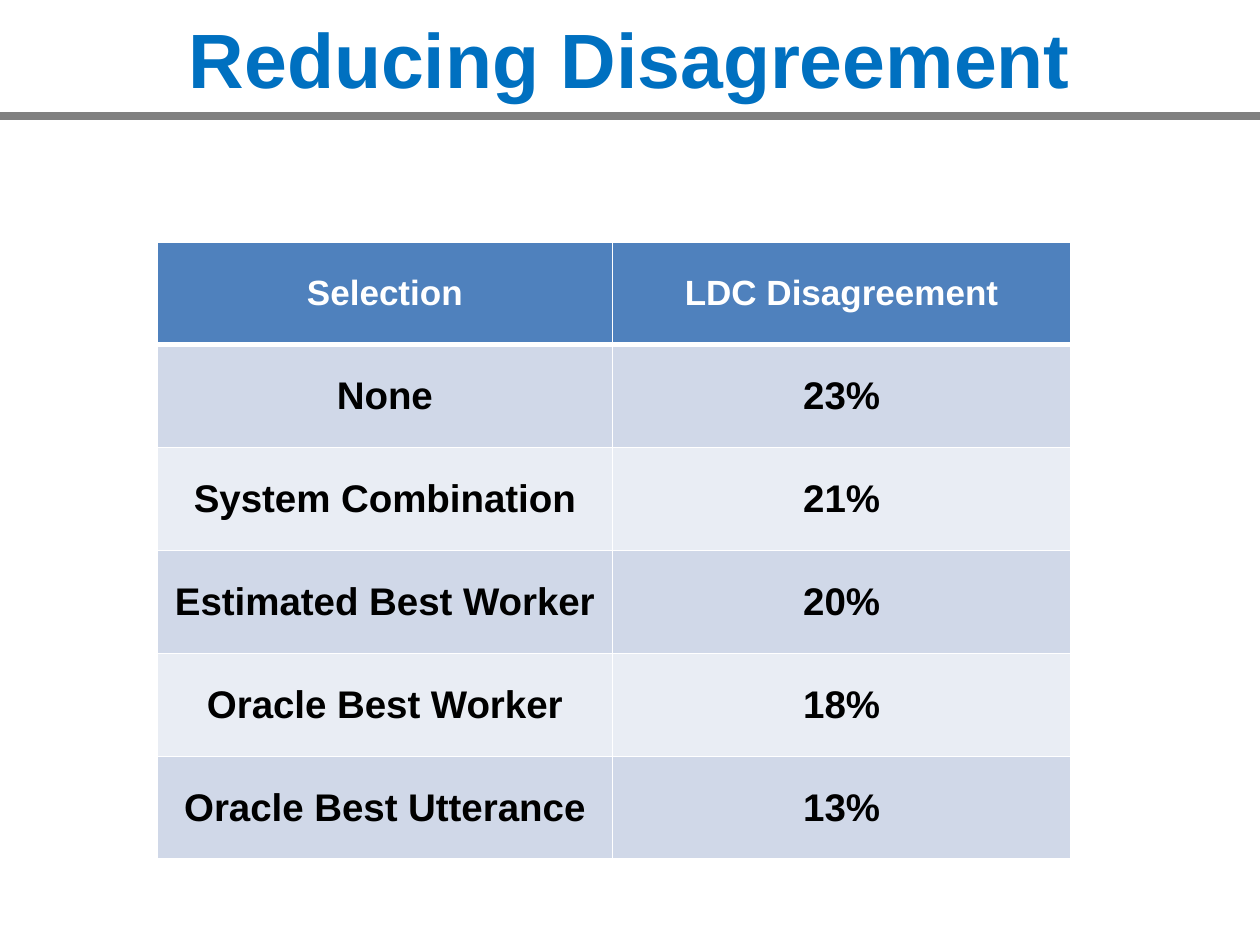
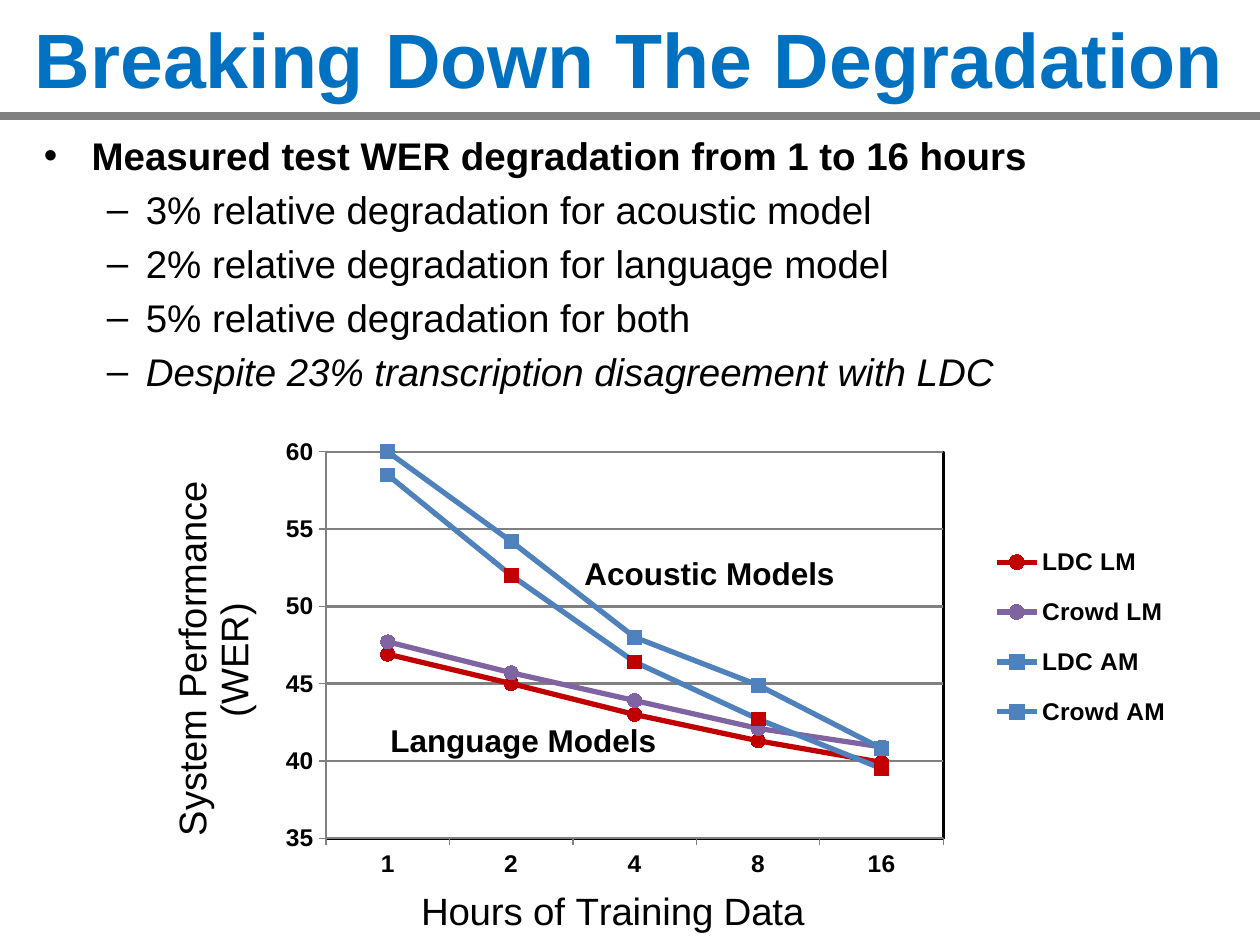
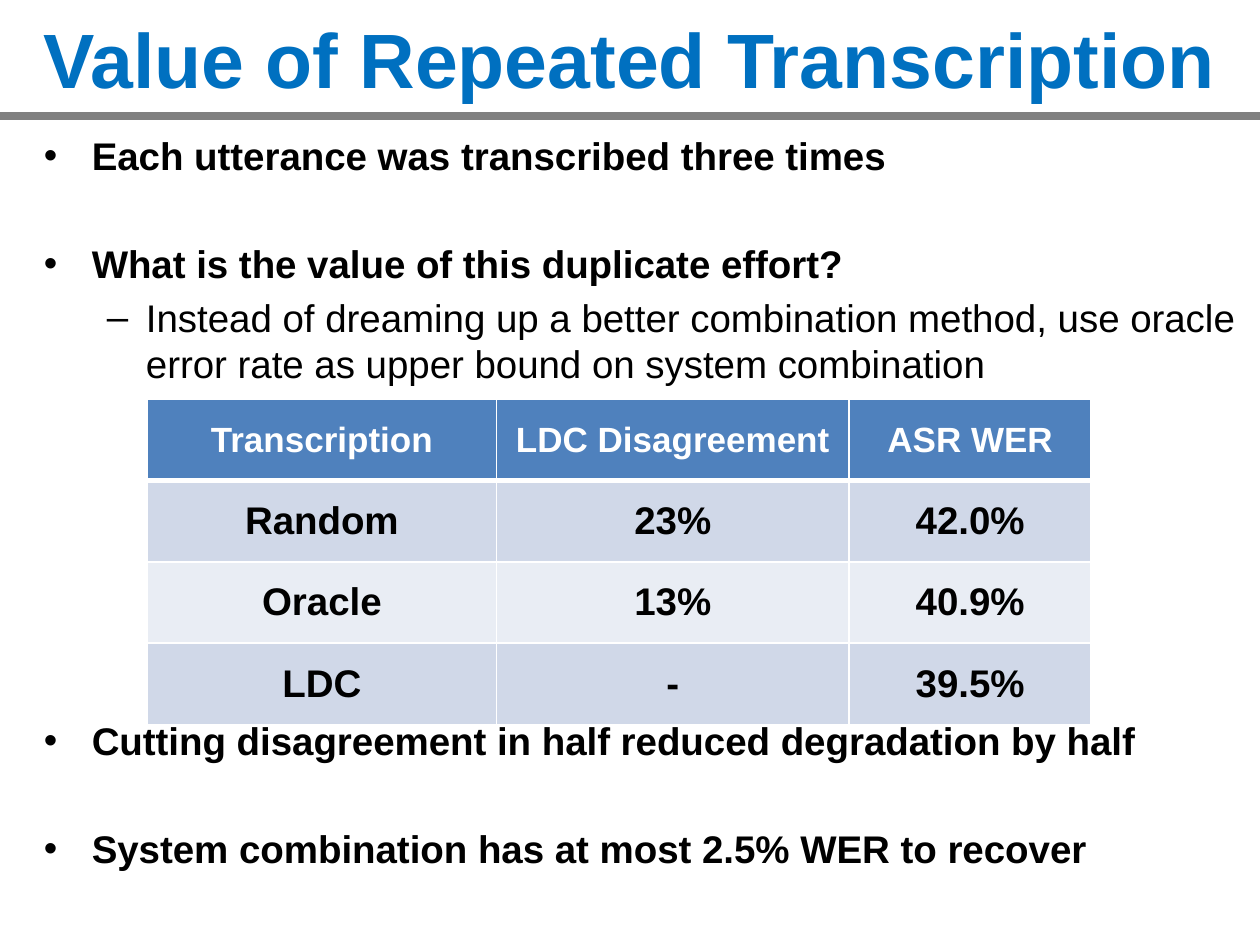
from lxml import etree
from pptx import Presentation
from pptx.chart.data import CategoryChartData
from pptx.dml.color import RGBColor
from pptx.enum.chart import XL_CHART_TYPE as ChartType
from pptx.enum.chart import XL_LEGEND_POSITION as LegendPosition
from pptx.enum.chart import XL_MARKER_STYLE as Marker
from pptx.enum.chart import XL_TICK_MARK as TickMark
from pptx.enum.shapes import MSO_CONNECTOR as Connector
from pptx.enum.text import MSO_ANCHOR as Anchor
from pptx.enum.text import PP_ALIGN as Align
from pptx.oxml import parse_xml
from pptx.oxml.ns import nsdecls, qn
from pptx.util import Inches, Pt

FONT = "Arial"
BLACK, WHITE, GRAY = "000000", "FFFFFF", "808080"
TITLE_BLUE, BLUE, RED, PURPLE = "0070C0", "4F81BD", "C00000", "8064A2"
BANDS = ("D0D8E8", "E9EDF4")
TITLE_HEIGHT = 0.92
BODY_SIZE, LINE_HEIGHT, GAP = 22, 26.4, 4.4

# Bullet sign, left margin and hanging indent in inches, bold, for each level
LEVELS = (("•", 0.38, 0.38, True), ("–", 0.81, 0.31, False))

SELECTION_ROWS = [
    ("Selection", "LDC Disagreement"),
    ("None", "23%"),
    ("System Combination", "21%"),
    ("Estimated Best Worker", "20%"),
    ("Oracle Best Worker", "18%"),
    ("Oracle Best Utterance", "13%"),
]
TRANSCRIPTION_ROWS = [
    ("Transcription", "LDC Disagreement", "ASR WER"),
    ("Random", "23%", "42.0%"),
    ("Oracle", "13%", "40.9%"),
    ("LDC", "-", "39.5%"),
]

# Level, lines left free above, italic, text
DEGRADATION_POINTS = [
    (0, 0, False, "Measured test WER degradation from 1 to 16 hours"),
    (1, 0, False, "3% relative degradation for acoustic model"),
    (1, 0, False, "2% relative degradation for language model"),
    (1, 0, False, "5% relative degradation for both"),
    (1, 0, True, "Despite 23% transcription disagreement with LDC"),
]
REPETITION_POINTS = [
    (0, 0, False, "Each utterance was transcribed three times"),
    (0, 1, False, "What is the value of this duplicate effort?"),
    (1, 0, False, "Instead of dreaming up a better combination method, use oracle "
                  "error rate as upper bound on system combination"),
    (0, 6, False, "Cutting disagreement in half reduced degradation by half"),
    (0, 1, False, "System combination has at most 2.5% WER to recover"),
]

HOURS = ("1", "2", "4", "8", "16")
# Name, values, colour, marker, colour of the markers after the first
SERIES = [
    ("LDC LM", (46.9, 45, 43, 41.3, 39.9), RED, Marker.CIRCLE, RED),
    ("Crowd LM", (47.7, 45.7, 43.9, 42.1, 40.9), PURPLE, Marker.CIRCLE, PURPLE),
    ("LDC AM", (58.5, 52, 46.4, 42.7, 39.5), BLUE, Marker.SQUARE, RED),
    ("Crowd AM", (60, 54.2, 48, 44.9, 40.8), BLUE, Marker.SQUARE, BLUE),
]
MODEL_LABELS = [
    ("Acoustic Models", 4.54, 4.35, 2.21),
    ("Language Models", 3, 5.67, 2.33),
]


def rgb(color):
    return RGBColor.from_string(color)


def set_font(font, size, color=BLACK, bold=False, italic=False):
    font.name, font.size = FONT, Pt(size)
    font.bold, font.italic = bold, italic
    font.color.rgb = rgb(color)


def set_line(line, color, width):
    line.color.rgb = rgb(color)
    line.width = Pt(width)


def add_text_box(slide, left, top, width, height):
    box = slide.shapes.add_textbox(Inches(left), Inches(top), Inches(width), Inches(height))
    box.text_frame.word_wrap = True
    return box.text_frame


def add_titled_slide(presentation, title):
    slide = presentation.slides.add_slide(presentation.slide_layouts[6])
    rule = slide.shapes.add_connector(
        Connector.STRAIGHT, 0, Inches(TITLE_HEIGHT), Inches(10), Inches(TITLE_HEIGHT))
    set_line(rule.line, GRAY, 5)
    etree.SubElement(rule._element.spPr, qn("a:effectLst"))
    frame = add_text_box(slide, 0, 0, 10, TITLE_HEIGHT)
    frame.vertical_anchor = Anchor.MIDDLE
    paragraph = frame.paragraphs[0]
    paragraph.text = title
    paragraph.alignment = Align.CENTER
    set_font(paragraph.font, 44, TITLE_BLUE, bold=True)
    return slide


def add_bullets(slide, points, width):
    frame = add_text_box(slide, 0.25, 1, width, 5.83)
    for index, (level, free_lines, italic, text) in enumerate(points):
        paragraph = frame.add_paragraph() if index else frame.paragraphs[0]
        paragraph.text = text
        sign, margin, hanging, bold = LEVELS[level]
        set_font(paragraph.font, BODY_SIZE, bold=bold, italic=italic)
        paragraph.level = level
        paragraph.line_spacing = Pt(LINE_HEIGHT)
        paragraph.space_before = Pt(GAP + free_lines * (LINE_HEIGHT + GAP))
        properties = paragraph._p.get_or_add_pPr()
        properties.set("marL", str(Inches(margin)))
        properties.set("indent", str(-Inches(hanging)))
        bullet_font = parse_xml(f'<a:buFont {nsdecls("a")} typeface="{FONT}"/>')
        bullet = parse_xml(f'<a:buChar {nsdecls("a")} char="{sign}"/>')
        for element in (bullet_font, bullet):
            properties.insert_element_before(element, "a:tabLst", "a:defRPr", "a:extLst")


def set_borders(cell, bottom_width):
    properties = cell._tc.get_or_add_tcPr()
    for side, width in (("L", 1), ("R", 1), ("T", 1), ("B", bottom_width)):
        properties.append(parse_xml(
            f'<a:ln{side} {nsdecls("a")} w="{Pt(width)}"><a:solidFill>'
            f'<a:srgbClr val="{WHITE}"/></a:solidFill></a:ln{side}>'))


def add_banded_table(slide, rows, left, top, column_widths, height):
    table = slide.shapes.add_table(
        len(rows), len(column_widths), Inches(left), Inches(top),
        Inches(sum(column_widths)), Inches(height)).table
    for column, width in zip(table.columns, column_widths):
        column.width = Inches(width)
    for row_index, texts in enumerate(rows):
        header = row_index == 0
        for column_index, text in enumerate(texts):
            cell = table.cell(row_index, column_index)
            set_borders(cell, 3 if header else 1)
            cell.fill.solid()
            cell.fill.fore_color.rgb = rgb(BLUE if header else BANDS[(row_index - 1) % 2])
            cell.vertical_anchor = Anchor.MIDDLE
            paragraph = cell.text_frame.paragraphs[0]
            paragraph.text = text
            paragraph.alignment = Align.CENTER
            set_font(paragraph.font, 20 if header else 22, WHITE if header else BLACK, bold=True)


def place_chart_part(element, followers, target=None, **fractions):
    """Lay out a chart part at fractions of the chart's width and height."""
    for old_layout in element.findall(qn("c:layout")):
        element.remove(old_layout)
    items = [("layoutTarget", target)] if target else []
    items += [("xMode", "edge"), ("yMode", "edge"), *fractions.items()]
    inner = "".join(f'<c:{tag} val="{value}"/>' for tag, value in items)
    layout = parse_xml(
        f'<c:layout {nsdecls("c")}><c:manualLayout>{inner}</c:manualLayout></c:layout>')
    following = [child for child in element if child.tag in map(qn, followers)]
    if following:
        following[0].addprevious(layout)
    else:
        element.append(layout)


def style_axis(axis, title, x, y):
    axis.major_tick_mark, axis.minor_tick_mark = TickMark.OUTSIDE, TickMark.NONE
    set_font(axis.tick_labels.font, 14, bold=True)
    set_line(axis.format.line, GRAY, 0.75)
    paragraph = axis.axis_title.text_frame.paragraphs[0]
    paragraph.text = title
    set_font(paragraph.font, 22)
    place_chart_part(axis.axis_title._element, ("c:overlay", "c:spPr", "c:txPr"), x=x, y=y)


def style_line(item, line_color, marker_style, marker_color):
    """Style a series or one of its points."""
    set_line(item.format.line, line_color, 3)
    marker = item.marker
    marker.style, marker.size = marker_style, 8
    marker.format.fill.solid()
    marker.format.fill.fore_color.rgb = rgb(marker_color)
    set_line(marker.format.line, marker_color, 0.75)


def style_series(series, color, marker_style, later_color):
    series.smooth = False
    style_line(series, color, marker_style, color)
    if later_color != color:
        for index in range(1, len(HOURS)):
            # LibreOffice colours a point's marker by the point's line
            style_line(series.points[index], later_color, marker_style, later_color)


def add_error_chart(slide):
    data = CategoryChartData()
    data.categories = HOURS
    for name, values, *_ in SERIES:
        data.add_series(name, values)
    chart = slide.shapes.add_chart(
        ChartType.LINE_MARKERS, Inches(0.75), Inches(3.25), Inches(8.75), Inches(4.25), data).chart
    set_font(chart.font, 10)
    chart.has_title = False
    plot = chart.plots[0]
    plot.vary_by_categories = False
    for series, (_, _, *style) in zip(plot.series, SERIES):
        style_series(series, *style)

    style_axis(chart.category_axis, "Hours of Training Data", 0.29, 0.89)
    value_axis = chart.value_axis
    style_axis(value_axis, "System Performance (WER)", 0.06, 0.13)
    value_axis.minimum_scale, value_axis.maximum_scale = 35, 60
    value_axis.major_unit = 5
    set_line(value_axis.major_gridlines.format.line, GRAY, 1.5)

    chart.has_legend = True
    legend = chart.legend
    legend.position, legend.include_in_layout = LegendPosition.RIGHT, False
    set_font(legend.font, 14, bold=True)
    place_chart_part(legend._element, ("c:overlay", "c:spPr", "c:txPr"),
                     x=0.81, y=0.22, w=0.17, h=0.42)

    plot_area = chart._chartSpace.chart.plotArea
    place_chart_part(plot_area, ("c:lineChart",), target="inner", x=0.21, y=0.08, w=0.56, h=0.73)
    plot_area.append(parse_xml(
        f'<c:spPr {nsdecls("c", "a")}><a:noFill/><a:ln w="{Pt(1.5)}"><a:solidFill>'
        f'<a:srgbClr val="{BLACK}"/></a:solidFill></a:ln></c:spPr>'))


def add_model_labels(slide):
    for text, left, top, width in MODEL_LABELS:
        frame = add_text_box(slide, left, top, width, 0.4)
        frame.word_wrap = False
        paragraph = frame.paragraphs[0]
        paragraph.text = text
        set_font(paragraph.font, 18, bold=True)


def main():
    presentation = Presentation()
    presentation.slide_width, presentation.slide_height = Inches(10), Inches(7.5)

    slide = add_titled_slide(presentation, "Reducing Disagreement")
    add_banded_table(slide, SELECTION_ROWS, 1.25, 1.92, (3.61, 3.64), 4.9)

    slide = add_titled_slide(presentation, "Breaking Down The Degradation")
    add_bullets(slide, DEGRADATION_POINTS, 9.5)
    add_error_chart(slide)
    add_model_labels(slide)

    slide = add_titled_slide(presentation, "Value of Repeated Transcription")
    add_bullets(slide, REPETITION_POINTS, 9.75)
    add_banded_table(slide, TRANSCRIPTION_ROWS, 1.17, 3.17, (2.77, 2.8, 1.92), 2.58)

    presentation.save("out.pptx")


if __name__ == "__main__":
    main()
